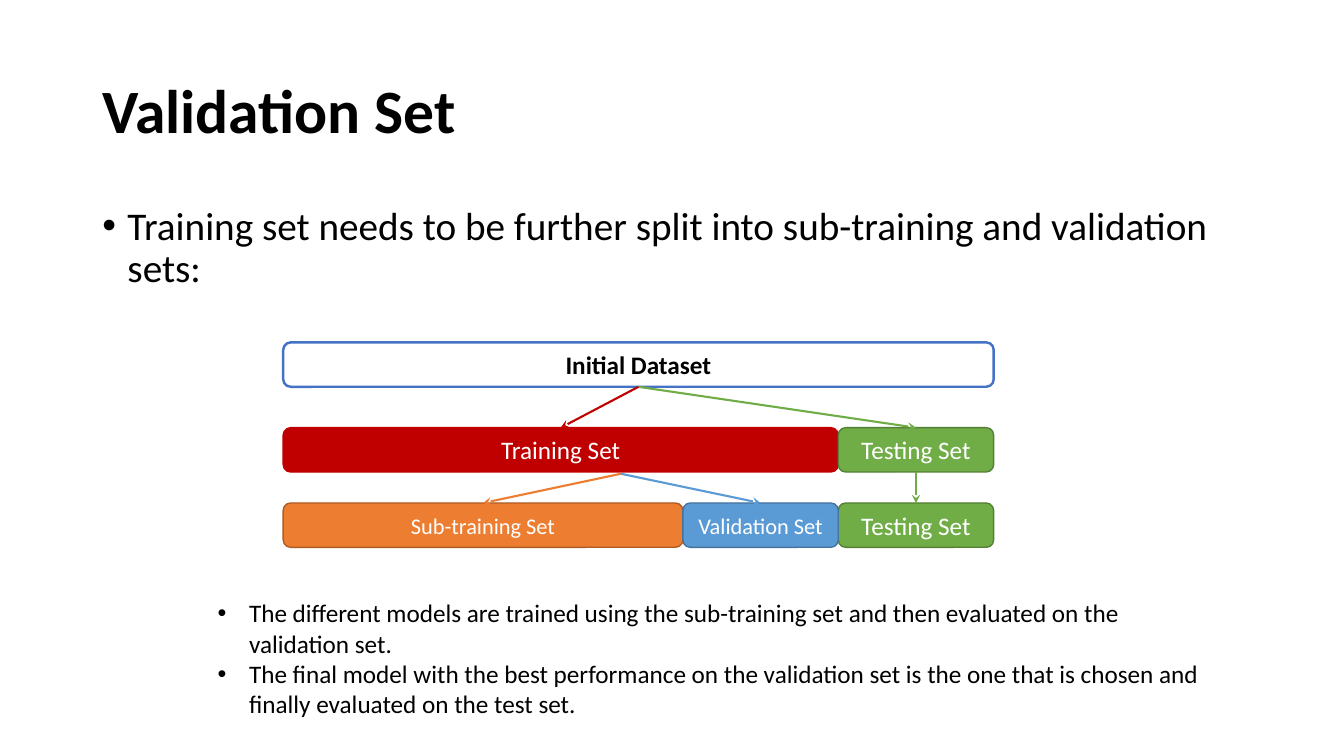
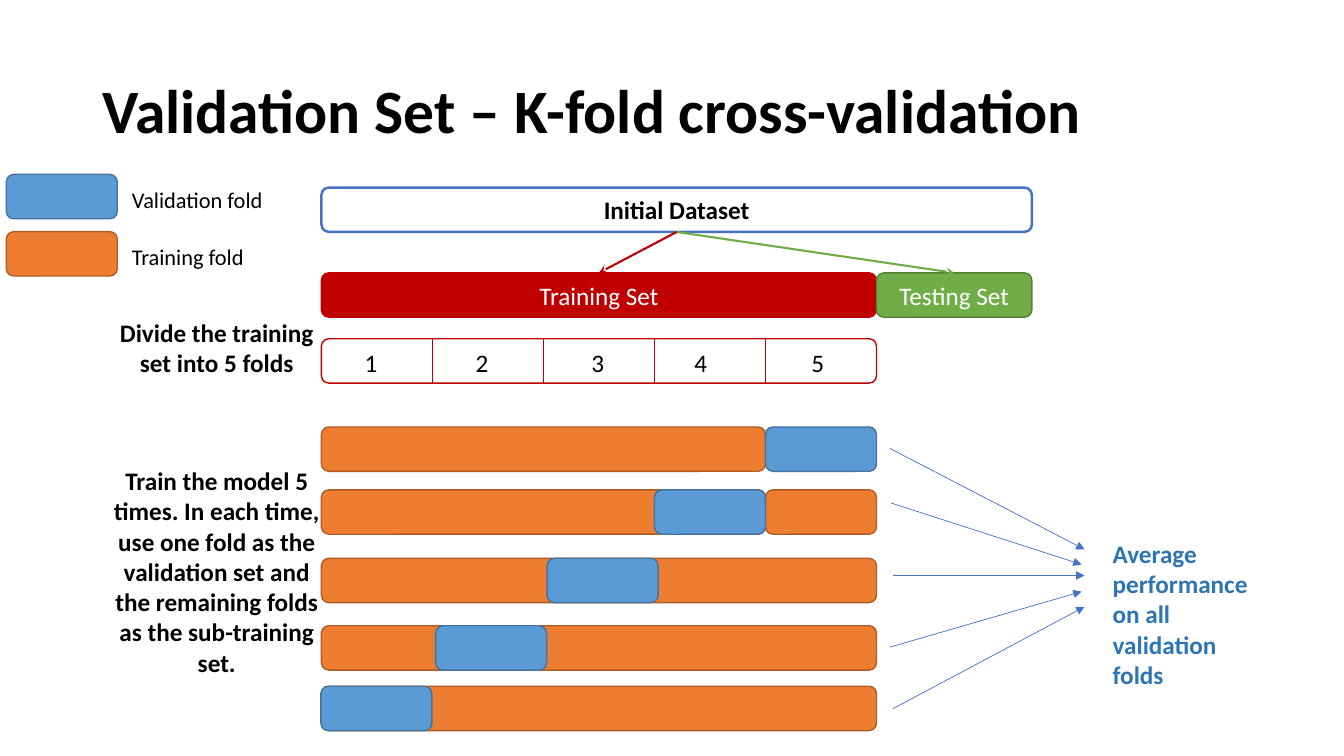
from dataclasses import dataclass
from typing import Optional

from lxml.etree import SubElement
from pptx import Presentation
from pptx.dml.color import RGBColor
from pptx.enum.shapes import MSO_CONNECTOR, MSO_SHAPE
from pptx.enum.text import MSO_ANCHOR, PP_ALIGN
from pptx.oxml.ns import qn
from pptx.util import Pt

# Constants
ROUND = MSO_SHAPE.ROUNDED_RECTANGLE
STRAIGHT = MSO_CONNECTOR.STRAIGHT
LEFT, CENTER = PP_ALIGN.LEFT, PP_ALIGN.CENTER
TOP, MIDDLE = MSO_ANCHOR.TOP, MSO_ANCHOR.MIDDLE
FONT = "Calibri"

BLACK = RGBColor(0x00, 0x00, 0x00)
WHITE = RGBColor(0xFF, 0xFF, 0xFF)
NAVY = RGBColor(0x44, 0x72, 0xC4)
RED = RGBColor(0xC0, 0x00, 0x00)
GREEN = RGBColor(0x70, 0xAD, 0x47)
MOSS = RGBColor(0x53, 0x80, 0x35)
ORANGE = RGBColor(0xED, 0x7D, 0x31)
RUST = RGBColor(0xAF, 0x5C, 0x24)
BLUE = RGBColor(0x5B, 0x9B, 0xD5)
STEEL = RGBColor(0x43, 0x73, 0x9E)
ACCENT = RGBColor(0x2E, 0x75, 0xB6)

# Widths of the bars; the training bar holds five folds
FOLD, TEST, BAR = 79.3, 111, 31.7
TRAIN = 5 * FOLD
WHOLE = TRAIN + TEST


@dataclass(frozen=True)
class Look:
    fill: Optional[RGBColor]
    edge: RGBColor
    ink: RGBColor = WHITE
    weight: float = 1
    bold: bool = False


@dataclass(frozen=True)
class Round:
    top: float
    spans: tuple  # (first fold, number of folds) of each training bar
    held: float  # left edge of the validation fold
    tail: tuple
    head: tuple


DATA = Look(WHITE, NAVY, BLACK, 1.75, True)
TRAINED = Look(RED, RED)
TESTED = Look(GREEN, MOSS)
SUB = Look(ORANGE, RUST)
VALID = Look(BLUE, STEEL)
FRAME = Look(None, RED)


# Drawing
def write(frame, lines, size, ink=BLACK, bold=False, align=LEFT,
          indent=0.0, spacing=None) -> None:
    frame.word_wrap = True
    for i, line in enumerate(lines):
        para = frame.paragraphs[0] if i == 0 else frame.add_paragraph()
        para.alignment = align
        if spacing:
            para.line_spacing = spacing
        if indent:
            props = para._p.get_or_add_pPr()
            props.set("marL", str(Pt(indent)))
            props.set("indent", str(-Pt(indent)))
            SubElement(props, qn("a:buFont")).set("typeface", "Arial")
            SubElement(props, qn("a:buChar")).set("char", "•")
        run = para.add_run()
        run.text = line
        font = run.font
        font.name, font.size, font.bold = FONT, Pt(size), bold
        font.color.rgb = ink


def label(slide, x: float, y: float, w: float, h: float, lines, size=18,
          anchor=TOP, **style) -> None:
    box = slide.shapes.add_textbox(Pt(x), Pt(y), Pt(w), Pt(h))
    box.text_frame.vertical_anchor = anchor
    write(box.text_frame, lines, size, **style)


def bar(slide, x: float, y: float, w: float, look: Look, text="", size=18):
    shape = slide.shapes.add_shape(ROUND, Pt(x), Pt(y), Pt(w), Pt(BAR))
    shape.shadow.inherit = False
    if look.fill is None:
        shape.fill.background()
    else:
        shape.fill.solid()
        shape.fill.fore_color.rgb = look.fill
    shape.line.color.rgb = look.edge
    shape.line.width = Pt(look.weight)
    if text:
        shape.text_frame.vertical_anchor = MIDDLE
        write(shape.text_frame, [text], size, look.ink, look.bold, CENTER)
    return shape


def link(slide, ink: RGBColor, weight: float, start=(0, 0), end=(0, 0),
         source=None, target=None, tip="") -> None:
    """Draw a line; a source joins at its bottom, a target at its top."""
    ends = [Pt(v) for v in (*start, *end)]
    line = slide.shapes.add_connector(STRAIGHT, *ends)
    if source is not None:
        line.begin_connect(source, 2)
    if target is not None:
        line.end_connect(target, 0)
    line.line.color.rgb = ink
    line.line.width = Pt(weight)
    props = line._element.spPr
    if tip:
        SubElement(props.find(qn("a:ln")), qn("a:tailEnd")).set("type", tip)
    SubElement(props, qn("a:effectLst"))


def start(deck, title: str):
    slide = deck.slides.add_slide(deck.slide_layouts[6])
    label(slide, 66, 28.8, 828, 104.4, [title], 44, MIDDLE,
          bold=True, spacing=0.9)
    return slide


def split(slide, x: float, y: float):
    """Draw the dataset split and return the testing bar."""
    data = bar(slide, x, y, WHOLE, DATA, "Initial Dataset")
    train = bar(slide, x, y + 60.9, TRAIN, TRAINED, "Training Set")
    test = bar(slide, x + TRAIN, y + 60.9, TEST, TESTED, "Testing Set")
    for part, ink in ((test, GREEN), (train, RED)):
        link(slide, ink, 1.5, source=data, target=part, tip="stealth")
    return test


# Slide 1
def subsets(deck) -> None:
    slide = start(deck, "Validation Set")
    label(slide, 66, 144, 828, 342.7, [
        "Training set needs to be further split into sub-training and "
        "validation sets:"], 28, indent=18, spacing=0.9)

    x, y = 202.3, 359.3
    upper = split(slide, x, 244.6)
    sub = bar(slide, x, y, TRAIN - TEST, SUB, "Sub-training Set", 16)
    lower = bar(slide, x + TRAIN, y, TEST, TESTED, "Testing Set")
    valid = bar(slide, x + TRAIN - TEST, y, TEST, VALID, "Validation Set", 16)
    link(slide, GREEN, 1.5, source=upper, target=lower, tip="stealth")
    for part, ink in ((sub, ORANGE), (valid, BLUE)):
        link(slide, ink, 1.5, (443.5, 338.4), target=part, tip="stealth")

    label(slide, 148.3, 423.4, 717.8, 94.3, [
        "The different models are trained using the sub-training set and "
        "then evaluated on the validation set.",
        "The final model with the best performance on the validation set is "
        "the one that is chosen and finally evaluated on the test set.",
    ], indent=22.5)


# Slide 2
ROUNDS = (
    Round(305, ((0, 4),), 546.8, (635.8, 320.4), (774.7, 392.4)),
    Round(349.9, ((0, 4), (4, 1)), 467.5, (636.5, 359.3), (772.6, 403.2)),
    Round(398.8, ((0, 5),), 390.8, (637.9, 411.1), (774.7, 411.1)),
    Round(447, ((0, 5),), 311.2, (635.8, 462.2), (772.6, 422.6)),
    Round(490.2, ((0, 5),), 229.2, (637.9, 506.2), (774.7, 433.4)),
)
DIGITS = (253.4, 332.6, 415.4, 488.9, 572.4)


def folds(deck) -> None:
    slide = start(deck, "Validation Set – K-fold cross-validation")
    x, y = 229.6, 242
    split(slide, x, 134)

    # Numbered folds
    bar(slide, x, y, TRAIN, FRAME)
    for i in range(1, 5):
        edge = x + i * FOLD
        link(slide, RED, 0.5, (edge, y), (edge, y + BAR))
    for i, left in enumerate(DIGITS, 1):
        label(slide, left, 244.4, 30.2, 28.8, [str(i)])

    # Training rounds
    for item in ROUNDS:
        for first, count in item.spans:
            bar(slide, x + first * FOLD, item.top, count * FOLD, SUB)
        bar(slide, item.held, item.top, FOLD, VALID)
        link(slide, NAVY, 0.5, item.tail, item.head, tip="triangle")

    # Remarks
    label(slide, 70.6, 223.2, 168.5, 51.1,
          ["Divide the training set into 5 folds"], bold=True, align=CENTER)
    label(slide, 70.6, 329, 168.5, 159.8, [
        "Train the model 5 times. In each time, use one fold as the "
        "validation set and the remaining folds as the sub-training set."],
        bold=True, align=CENTER)
    label(slide, 787.7, 380.9, 119.5, 116.6,
          ["Average performance on all validation folds"],
          ink=ACCENT, bold=True)

    # Legend
    for i, (look, name) in enumerate(((VALID, "Validation fold"),
                                      (SUB, "Training fold"))):
        top = 124.6 + i * 40.9
        bar(slide, 4.5, top, FOLD, look)
        label(slide, 87.1, top + 4.8, 121.7, 26.6, [name], 16)


def main() -> None:
    deck = Presentation()
    deck.slide_width, deck.slide_height = Pt(960), Pt(540)
    subsets(deck)
    folds(deck)
    deck.save("out.pptx")


if __name__ == "__main__":
    main()
